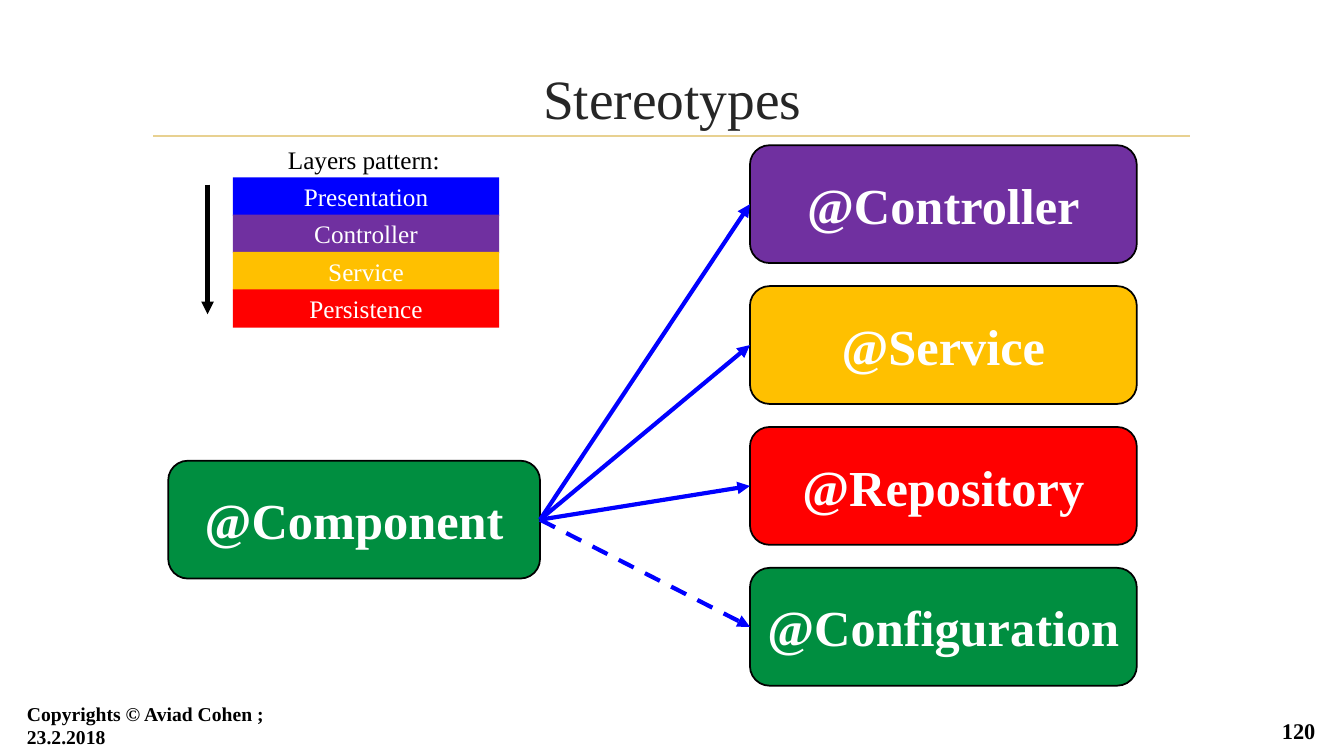
from dataclasses import dataclass

from lxml.etree import SubElement
from pptx import Presentation
from pptx.dml.color import RGBColor
from pptx.enum.dml import MSO_LINE_DASH_STYLE as Dash
from pptx.enum.shapes import MSO_CONNECTOR as Conn, MSO_SHAPE as Shape
from pptx.enum.text import MSO_ANCHOR as Anchor, PP_ALIGN as Align
from pptx.oxml.ns import qn
from pptx.util import Cm, Pt

FONT = "Times New Roman"
BLACK, WHITE, BLUE = "000000", "FFFFFF", "0000FF"
PURPLE, AMBER, RED, GREEN = "7030A0", "FFC000", "FF0000", "008E40"


@dataclass
class Box:
    """Position and size in centimetres."""
    left: float
    top: float
    width: float
    height: float

    def below(self, steps: int, pitch: float) -> "Box":
        return Box(self.left, self.top + steps * pitch, self.width, self.height)

    def emu(self) -> list:
        return [Cm(v) for v in (self.left, self.top, self.width, self.height)]


@dataclass
class Label:
    text: str
    box: Box
    size: float
    color: str = BLACK
    bold: bool = False
    align: Align = Align.CENTER
    anchor: Anchor = Anchor.MIDDLE


@dataclass
class Stereotype:
    text: str
    fill: str
    dash: bool = False


COMPONENT = Stereotype("@Component", GREEN)
COMPONENT_BOX = Box(4.24, 11.61, 9.37, 2.97)
STEREOTYPES = [
    Stereotype("@Controller", PURPLE),
    Stereotype("@Service", AMBER),
    Stereotype("@Repository", RED),
    Stereotype("@Configuration", GREEN, dash=True),
]
FIRST_STEREOTYPE, STEREOTYPE_PITCH = Box(18.9, 3.66, 9.75, 2.97), 3.55

LAYERS = [("Presentation", BLUE), ("Controller", PURPLE),
          ("Service", AMBER), ("Persistence", RED)]
FIRST_LAYER, LAYER_PITCH = Box(5.87, 4.47, 6.71, 0.97), 0.94

LABELS = [
    Label("Stereotypes", Box(3.61, 1.73, 26.67, 1.45), 39.6, "262626"),
    Label("120", Box(31.9, 18.01, 1.5, 0.79), 16, bold=True, align=Align.RIGHT),
    Label("Copyrights © Aviad Cohen ; 23.2.2018", Box(0.43, 17.88, 8.4, 0.79),
          14, bold=True, align=Align.LEFT),
    Label("Layers pattern:", Box(5.87, 3.51, 6.6, 1.02), 18, anchor=Anchor.TOP),
]


def rgb(color: str) -> RGBColor:
    return RGBColor.from_string(color)


def write(sp, label: Label) -> None:
    tf = sp.text_frame
    tf.word_wrap = True
    tf.vertical_anchor = label.anchor
    p = tf.paragraphs[0]
    p.alignment = label.align
    r = p.add_run()
    r.text = label.text
    formats = {"name": FONT, "size": Pt(label.size), "bold": label.bold}
    for key, value in formats.items():
        setattr(r.font, key, value)
    r.font.color.rgb = rgb(label.color)


def add_label(shapes, label: Label) -> None:
    write(shapes.add_textbox(*label.box.emu()), label)


def add_block(shapes, kind: Shape, box: Box, fill: str):
    sp = shapes.add_shape(kind, *box.emu())
    sp.shadow.inherit = False
    sp.fill.solid()
    sp.fill.fore_color.rgb = rgb(fill)
    sp.line.fill.background()
    return sp


def add_stereotype(shapes, item: Stereotype, box: Box):
    sp = add_block(shapes, Shape.ROUNDED_RECTANGLE, box, item.fill)
    sp.line.color.rgb = rgb(BLACK)
    sp.line.width = Pt(1.25)
    write(sp, Label(item.text, box, 36, WHITE, bold=True))
    sp.text_frame.margin_left = sp.text_frame.margin_right = 0
    return sp


def add_layer(shapes, text: str, fill: str, box: Box) -> None:
    sp = add_block(shapes, Shape.RECTANGLE, box, fill)
    write(sp, Label(text, box, 18, WHITE))


def add_line(shapes, start: tuple, end: tuple, color: str, width: float,
             arrow: bool = True, dash: bool = False):
    ends = [Cm(v) for v in (*start, *end)]
    line = shapes.add_connector(Conn.STRAIGHT, *ends)
    line.line.color.rgb = rgb(color)
    line.line.width = Pt(width)
    if dash:
        line.line.dash_style = Dash.DASH
    if arrow:
        SubElement(line.line._get_or_add_ln(), qn("a:tailEnd"), type="triangle")
    SubElement(line._element.spPr, qn("a:effectLst"))
    return line


def main() -> None:
    prs = Presentation()
    prs.slide_width, prs.slide_height = Cm(33.87), Cm(19.05)
    shapes = prs.slides.add_slide(prs.slide_layouts[6]).shapes

    add_line(shapes, (3.86, 3.43), (30, 3.43), "E8D191", 1.25, arrow=False)
    for label in LABELS:
        add_label(shapes, label)

    component = add_stereotype(shapes, COMPONENT, COMPONENT_BOX)
    cards = [
        add_stereotype(shapes, item, FIRST_STEREOTYPE.below(i, STEREOTYPE_PITCH))
        for i, item in enumerate(STEREOTYPES)
    ]
    left_site, right_site = 1, 3
    for item, card in zip(STEREOTYPES, cards):
        line = add_line(shapes, (0, 0), (1, 1), BLUE, 3, dash=item.dash)
        line.begin_connect(component, right_site)
        line.end_connect(card, left_site)

    for i, (text, fill) in enumerate(LAYERS):
        add_layer(shapes, text, fill, FIRST_LAYER.below(i, LAYER_PITCH))
    add_line(shapes, (5.23, 4.65), (5.23, 7.92), BLACK, 3)

    prs.save("out.pptx")


if __name__ == "__main__":
    main()
